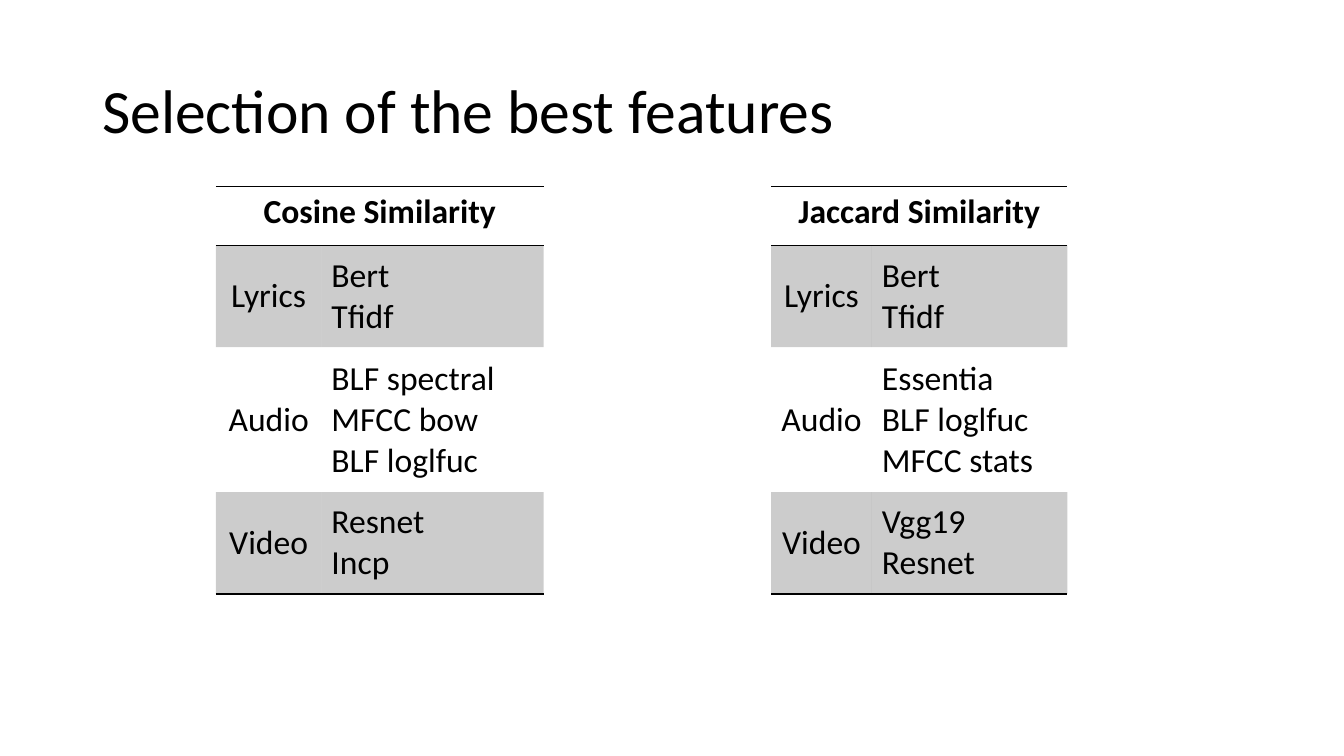
from lxml.etree import SubElement
from pptx import Presentation
from pptx.dml.color import RGBColor
from pptx.enum.text import MSO_ANCHOR, PP_ALIGN
from pptx.oxml.ns import qn
from pptx.util import Pt

FONT = "Calibri"
BLACK = "000000"
SHADE_PERCENT = 20
PLAIN_TABLE_STYLE = "{2D5ABB26-0587-4C30-8999-92F81FD0307C}"
ROW_HEIGHTS = (42, 72.7, 103.7, 72.7)

COSINE = ("Cosine Similarity", [
    ("Lyrics", ["Bert", "Tfidf"]),
    ("Audio", ["BLF spectral", "MFCC bow", "BLF loglfuc"]),
    ("Video", ["Resnet", "Incp"]),
])
JACCARD = ("Jaccard Similarity", [
    ("Lyrics", ["Bert", "Tfidf"]),
    ("Audio", ["Essentia", "BLF loglfuc", "MFCC stats"]),
    ("Video", ["Vgg19", "Resnet"]),
])


def color(value):
    return RGBColor.from_string(value)


def write(frame, lines, size, bold=False, align=PP_ALIGN.LEFT, spacing=None):
    for number, line in enumerate(lines):
        para = frame.add_paragraph() if number else frame.paragraphs[0]
        para.alignment = align
        para.line_spacing = spacing
        span = para.add_run()
        span.text = line
        span.font.name = FONT
        span.font.size = Pt(size)
        span.font.bold = bold
        span.font.color.rgb = color(BLACK)


def rule(cell, side):
    """Draw a 1 pt black border on one side; call before filling the cell."""
    line = SubElement(cell._tc.get_or_add_tcPr(), qn("a:ln" + side), w=str(Pt(1)))
    solid = SubElement(line, qn("a:solidFill"))
    SubElement(solid, qn("a:srgbClr"), val=BLACK)


def shade(cell):
    cell.fill.solid()
    cell.fill.fore_color.rgb = color(BLACK)
    tint = cell._tc.tcPr.find(qn("a:solidFill")).find(qn("a:srgbClr"))
    SubElement(tint, qn("a:alpha"), val=str(SHADE_PERCENT * 1000))


def add_title(page, left, top, width, height, text):
    box = page.shapes.add_textbox(Pt(left), Pt(top), Pt(width), Pt(height))
    frame = box.text_frame
    frame.word_wrap = True
    frame.vertical_anchor = MSO_ANCHOR.MIDDLE
    write(frame, [text], 44, spacing=0.9)


def add_feature_table(page, left, top, column_widths, content):
    heading, groups = content
    holder = page.shapes.add_table(
        len(ROW_HEIGHTS), len(column_widths), Pt(left), Pt(top),
        Pt(sum(column_widths)), Pt(sum(ROW_HEIGHTS)))
    table = holder.table
    table.first_row = table.horz_banding = False
    table._tbl.tblPr.find(qn("a:tableStyleId")).text = PLAIN_TABLE_STYLE
    for column, width in zip(table.columns, column_widths):
        column.width = Pt(width)
    for row, height in zip(table.rows, ROW_HEIGHTS):
        row.height = Pt(height)

    # Heading across both columns, ruled above and below
    table.cell(0, 0).merge(table.cell(0, 1))
    write(table.cell(0, 0).text_frame, [heading], 24, True, PP_ALIGN.CENTER)
    for cell in table.rows[0].cells:
        rule(cell, "T")
        rule(cell, "B")
        cell.fill.background()

    # Feature groups, every other one shaded, the last ruled below
    for number, (group, features) in enumerate(groups, 1):
        label, names = table.rows[number].cells
        write(label.text_frame, [group], 24, align=PP_ALIGN.CENTER)
        write(names.text_frame, features, 24)
        for cell in (label, names):
            cell.vertical_anchor = MSO_ANCHOR.MIDDLE
            if number == len(groups):
                rule(cell, "B")
            if number % 2:
                shade(cell)
            else:
                cell.fill.background()


def main():
    deck = Presentation()
    deck.slide_width, deck.slide_height = Pt(960), Pt(540)
    page = deck.slides.add_slide(deck.slide_layouts[6])
    add_title(page, 66, 28.75, 828, 104.4, "Selection of the best features")
    add_feature_table(page, 154.2, 133.2, (75.4, 158.8), COSINE)
    add_feature_table(page, 550.8, 133.2, (72, 139.7), JACCARD)
    deck.save("out.pptx")


if __name__ == "__main__":
    main()
